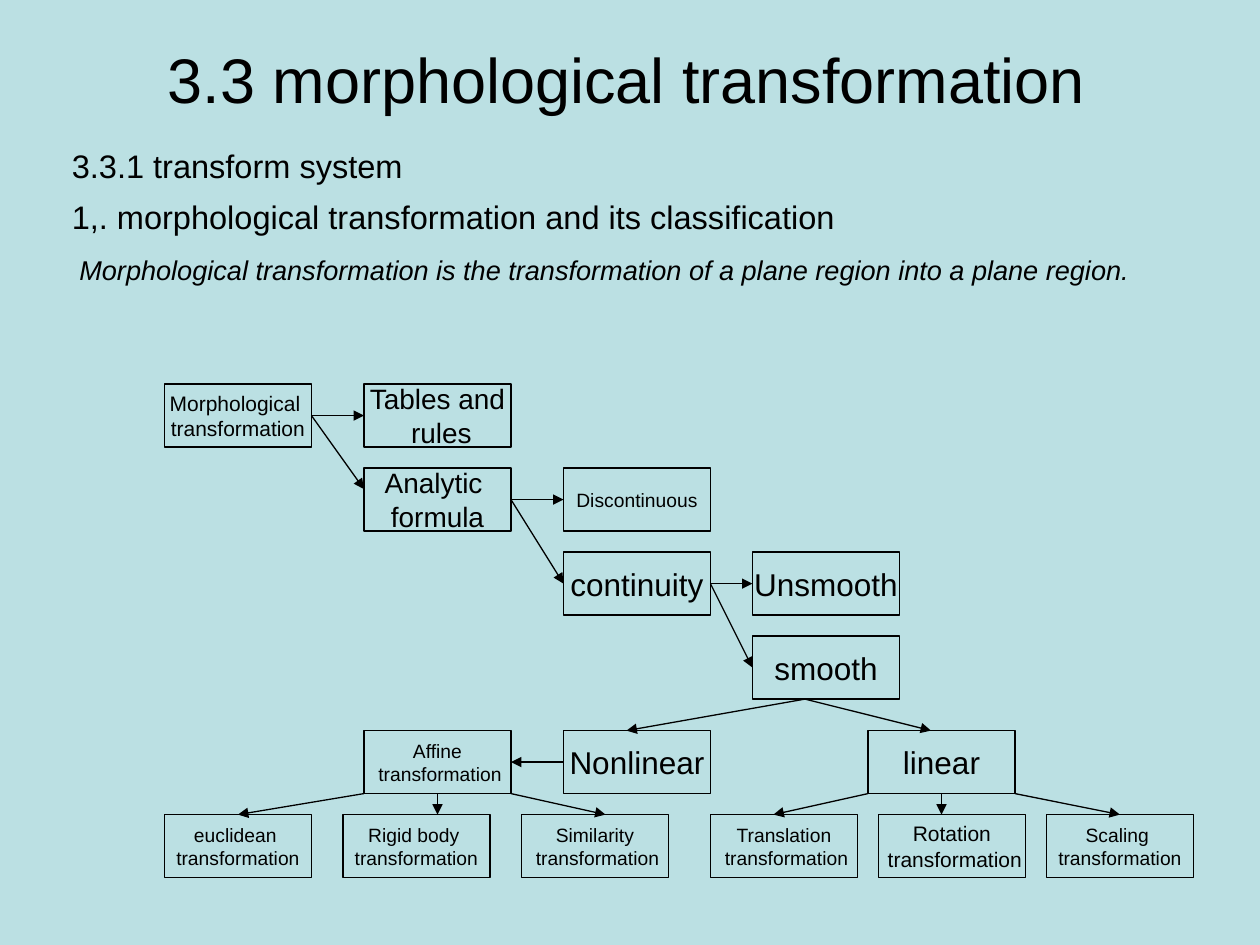
from lxml import etree
from pptx import Presentation
from pptx.dml.color import RGBColor
from pptx.enum import shapes, text
from pptx.oxml.ns import qn
from pptx.util import Pt

INK, BACKGROUND = "000000", "BBE0E3"
BOX_WIDTH, BOX_HEIGHT = 84, 36
LEFT, CENTRE, RIGHT = 0, BOX_WIDTH / 2, BOX_WIDTH
TOP, MIDDLE, BOTTOM = 0, BOX_HEIGHT / 2, BOX_HEIGHT
ROWS = [0, 48, 96, 144, 198, 246]

NODES = {
    "root": (0, 0, 12, "Morphological \ntransformation"),
    "tables": (114, 0, 16, "Tables and\n rules"),
    "analytic": (114, 1, 16, "Analytic \nformula"),
    "discontinuous": (228, 1, 11, "Discontinuous"),
    "continuity": (228, 2, 18, "continuity"),
    "unsmooth": (336, 2, 18, "Unsmooth"),
    "smooth": (336, 3, 18, "smooth"),
    "linear": (402, 4, 18, "linear"),
    "nonlinear": (228, 4, 18, "Nonlinear"),
    "affine": (114, 4, 11, "Affine\n transformation"),
    "euclidean": (0, 5, 11, "euclidean \ntransformation"),
    "rigid": (102, 5, 11, "Rigid body \ntransformation"),
    "similarity": (204, 5, 11, "Similarity\n transformation"),
    "translation": (312, 5, 11, "Translation\n transformation"),
    "rotation": (408, 5, 12, "Rotation\n transformation"),
    "scaling": (504, 5, 11, "Scaling \ntransformation"),
}

ARROWS = [
    ("root", RIGHT, MIDDLE, "tables", LEFT, MIDDLE),
    ("root", RIGHT, MIDDLE, "analytic", LEFT, 12),
    ("analytic", RIGHT, MIDDLE, "discontinuous", LEFT, MIDDLE),
    ("analytic", RIGHT, MIDDLE, "continuity", LEFT, MIDDLE),
    ("continuity", RIGHT, MIDDLE, "unsmooth", LEFT, MIDDLE),
    ("continuity", RIGHT, MIDDLE, "smooth", LEFT, MIDDLE),
    ("smooth", 30, BOTTOM, "linear", 36, TOP),
    ("smooth", 30, BOTTOM, "nonlinear", 36, TOP),
    ("linear", CENTRE, BOTTOM, "rotation", 36, TOP),
    ("linear", LEFT, BOTTOM, "translation", 36, TOP),
    ("linear", RIGHT, BOTTOM, "scaling", CENTRE, TOP),
    ("nonlinear", LEFT, MIDDLE, "affine", RIGHT, MIDDLE),
    ("affine", LEFT, BOTTOM, "euclidean", CENTRE, TOP),
    ("affine", CENTRE, BOTTOM, "rigid", 54, TOP),
    ("affine", RIGHT, BOTTOM, "similarity", 48, TOP),
]


def colour(value):
    """Turn a hex string into a colour."""
    return RGBColor.from_string(value)


def style(paragraph, size, italic=False):
    """Set the font of a whole paragraph."""
    font = paragraph.font
    font.name, font.size, font.italic = "Arial", Pt(size), italic
    font.color.rgb = colour(INK)


def place_title(slide, left, top, width, height):
    """Move, fill and format the title placeholder."""
    title = slide.shapes.title
    title.left, title.top = Pt(left), Pt(top)
    title.width, title.height = Pt(width), Pt(height)
    frame = title.text_frame
    frame.text = "3.3 morphological transformation"
    frame.auto_size = text.MSO_AUTO_SIZE.NONE
    frame.vertical_anchor = text.MSO_ANCHOR.MIDDLE
    paragraph = frame.paragraphs[0]
    paragraph.alignment = text.PP_ALIGN.CENTER
    style(paragraph, 36)


def add_introduction(slide, left, top, width, height):
    """Add the section headings and the definition."""
    box = slide.shapes.add_textbox(Pt(left), Pt(top), Pt(width), Pt(height))
    frame = box.text_frame
    frame.word_wrap = True
    lines = [
        ("3.3.1 transform system", 18.6, 0, False),
        ("1,. morphological transformation and its classification", 18.6, 7, False),
        (" Morphological transformation is the transformation of a plane region"
         " into a plane region.", 15.5, 9.5, True),
    ]
    frame.text = "\n".join(line[0] for line in lines)
    for paragraph, (_, size, space, italic) in zip(frame.paragraphs, lines):
        paragraph.space_before = Pt(space)
        style(paragraph, size, italic)


def add_node(slide, left, top, size, label):
    """Add one labelled box of the tree."""
    box = slide.shapes.add_shape(shapes.MSO_SHAPE.RECTANGLE, Pt(left), Pt(top),
                                 Pt(BOX_WIDTH), Pt(BOX_HEIGHT))
    box.shadow.inherit = False
    box.fill.solid()
    box.fill.fore_color.rgb = colour(BACKGROUND)
    box.line.color.rgb = colour(INK)
    box.line.width = Pt(0.75)
    frame = box.text_frame
    frame.text = label
    frame.word_wrap = False
    frame.vertical_anchor = text.MSO_ANCHOR.MIDDLE
    for paragraph in frame.paragraphs:
        paragraph.alignment = text.PP_ALIGN.CENTER
        style(paragraph, size)


def add_arrow(slide, start, end):
    """Add a straight arrow between two points."""
    arrow = slide.shapes.add_connector(shapes.MSO_CONNECTOR.STRAIGHT,
                                       *(Pt(value) for value in start + end))
    arrow.line.color.rgb = colour(INK)
    arrow.line.width = Pt(0.75)
    properties = arrow.line._get_or_add_ln()
    etree.SubElement(properties, qn("a:tailEnd"), type="triangle")
    etree.SubElement(properties.getparent(), qn("a:effectLst"))


def add_tree(slide, left, top):
    """Add the classification tree from its top left corner."""
    corners = {}
    for name, (offset, row, size, label) in NODES.items():
        corners[name] = left + offset, top + ROWS[row]
        add_node(slide, *corners[name], size, label)
    for source, start_x, start_y, target, end_x, end_y in ARROWS:
        source_x, source_y = corners[source]
        target_x, target_y = corners[target]
        add_arrow(slide, (source_x + start_x, source_y + start_y),
                  (target_x + end_x, target_y + end_y))


def main():
    """Build and save the slide."""
    presentation = Presentation()
    presentation.slide_width, presentation.slide_height = Pt(720), Pt(540)
    slide = presentation.slides.add_slide(presentation.slide_layouts[5])
    slide.background.fill.solid()
    slide.background.fill.fore_color.rgb = colour(BACKGROUND)
    place_title(slide, 34, 0, 648, 90)
    add_introduction(slide, 34, 80, 648, 108)
    add_tree(slide, 94, 219.5)
    presentation.save("out.pptx")


if __name__ == "__main__":
    main()
